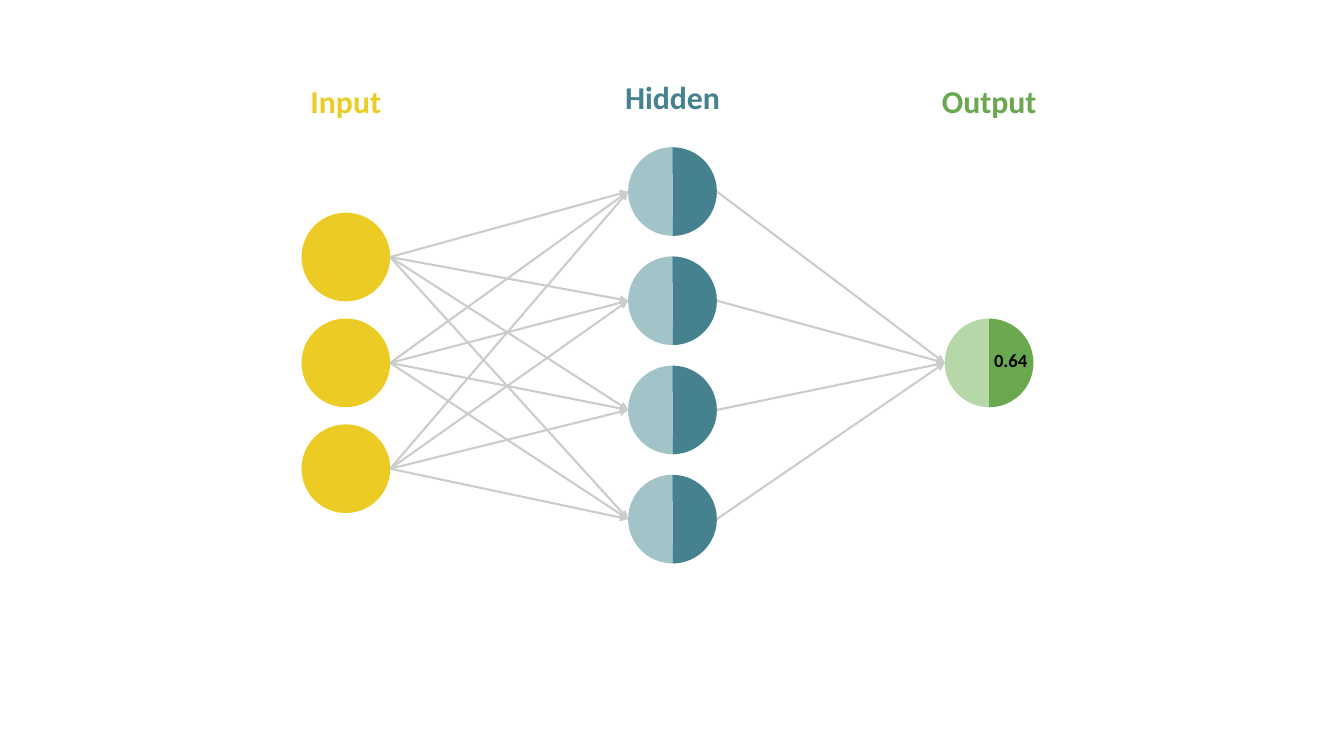
"""Draw a small neural network with input, hidden and output layers."""
from lxml import etree
from pptx import Presentation
from pptx.dml.color import RGBColor
from pptx.enum import shapes, text
from pptx.oxml import ns
from pptx.util import Inches, Pt

YELLOW = RGBColor(0xEC, 0xCC, 0x24)
TEAL = RGBColor(0x45, 0x81, 0x8E)
PALE_TEAL = RGBColor(0xA2, 0xC4, 0xC9)
GREEN = RGBColor(0x6A, 0xA8, 0x4F)
PALE_GREEN = RGBColor(0xB6, 0xD7, 0xA8)
GREY = RGBColor(0xCC, 0xCC, 0xCC)
BLACK = RGBColor(0, 0, 0)

DIAMETER = 0.88
RADIUS = DIAMETER / 2
MIDDLE = 3.6
INPUT_X, HIDDEN_X, OUTPUT_X = 3.43, 6.67, 9.81
INPUT_YS = [MIDDLE + 1.05 * step for step in (-1, 0, 1)]
HIDDEN_YS = [1.9 + 3.25 / 3 * step for step in range(4)]
OUTPUT_YS = [MIDDLE]

deck = Presentation()
deck.slide_width, deck.slide_height = Inches(13.33), Inches(7.5)
page = deck.slides.add_slide(deck.slide_layouts[6])


def add_node(kind, x, y, color):
    node = page.shapes.add_shape(kind, Inches(x - RADIUS), Inches(y - RADIUS),
                                 Inches(DIAMETER), Inches(DIAMETER))
    node.shadow.inherit = False
    node.fill.solid()
    node.fill.fore_color.rgb = color
    node.line.fill.background()
    return node


def add_label(words, left, top, width, height, *, size, color, inset, anchor):
    box = page.shapes.add_textbox(Inches(left), Inches(top), Inches(width), Inches(height))
    frame = box.text_frame
    frame.word_wrap = True
    frame.vertical_anchor = anchor
    frame.margin_left = frame.margin_right = Inches(inset)
    frame.margin_top = frame.margin_bottom = Inches(inset)
    para = frame.paragraphs[0]
    para.alignment = text.PP_ALIGN.CENTER
    span = para.add_run()
    span.text = words
    span.font.name = "Calibri"
    span.font.size = Pt(size)
    span.font.bold = True
    span.font.color.rgb = color


for y in INPUT_YS:
    add_node(shapes.MSO_SHAPE.OVAL, INPUT_X, y, YELLOW)

for x, ys, pale, dark in [(HIDDEN_X, HIDDEN_YS, PALE_TEAL, TEAL),
                          (OUTPUT_X, OUTPUT_YS, PALE_GREEN, GREEN)]:
    for y in ys:
        for color, rotation in [(pale, 0), (dark, 180)]:
            half = add_node(shapes.MSO_SHAPE.PIE, x, y, color)
            half.adjustments[0], half.adjustments[1] = 53.967, 162
            half.rotation = rotation

for start_x, start_ys, end_x, end_ys in [(INPUT_X, INPUT_YS, HIDDEN_X, HIDDEN_YS),
                                         (HIDDEN_X, HIDDEN_YS, OUTPUT_X, OUTPUT_YS)]:
    for start_y in start_ys:
        for end_y in end_ys:
            arrow = page.shapes.add_connector(
                shapes.MSO_CONNECTOR.STRAIGHT,
                Inches(start_x + RADIUS), Inches(start_y),
                Inches(end_x - RADIUS), Inches(end_y))
            arrow.line.color.rgb = GREY
            arrow.line.width = Pt(1.5)
            etree.SubElement(arrow.line._get_or_add_ln(), ns.qn("a:tailEnd"), type="triangle")
            etree.SubElement(arrow._element.spPr, ns.qn("a:effectLst"))

add_label("0.64", 9.71, 3.41, 0.63, 0.33, size=13.3, color=BLACK, inset=0.05,
          anchor=text.MSO_ANCHOR.MIDDLE)
for words, x, top, width, color in [("Input", INPUT_X, 0.68, 1.26, YELLOW),
                                    ("Hidden", HIDDEN_X, 0.64, 1.45, TEAL),
                                    ("Output", OUTPUT_X, 0.68, 1.45, GREEN)]:
    add_label(words, x - width / 2, top, width, 0.52, size=22.7, color=color, inset=0.13,
              anchor=text.MSO_ANCHOR.TOP)

deck.save("out.pptx")
